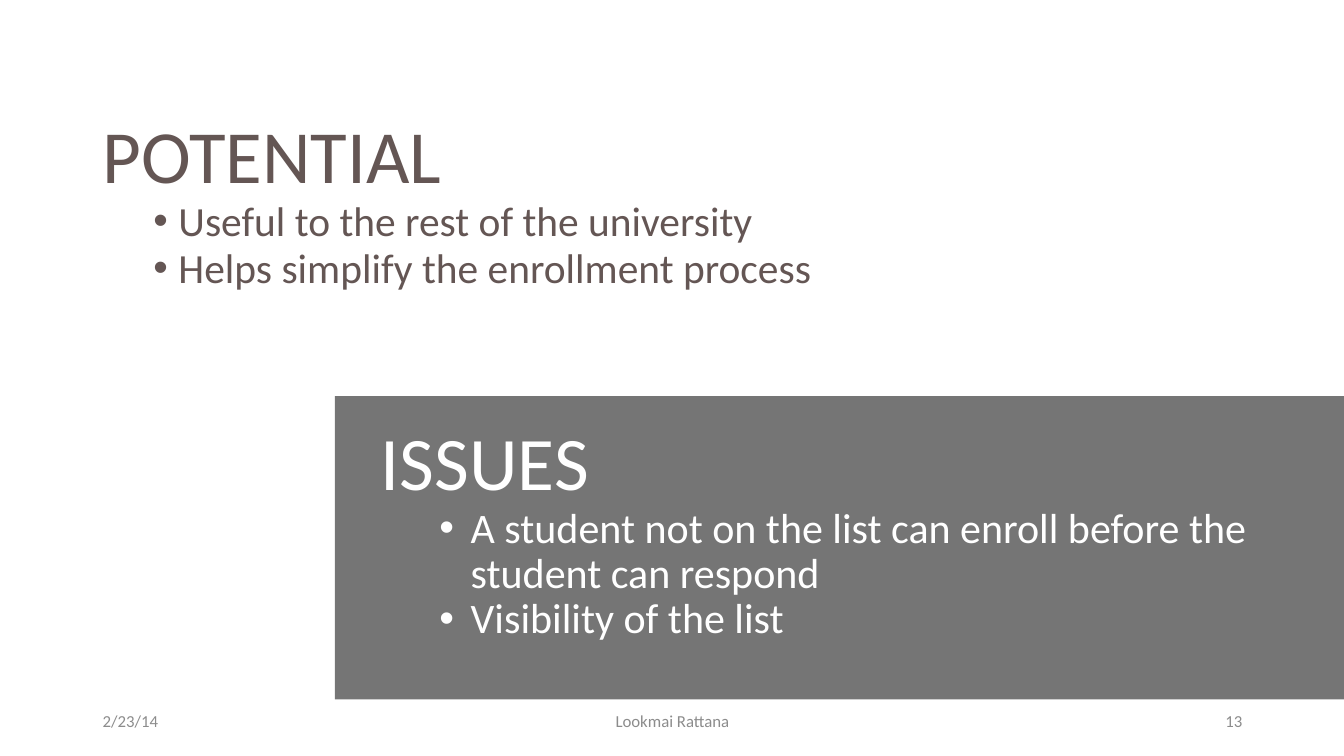
from dataclasses import dataclass

from lxml import etree
from pptx import Presentation
from pptx.dml.color import RGBColor
from pptx.enum.shapes import MSO_SHAPE
from pptx.enum.text import MSO_ANCHOR, MSO_AUTO_SIZE, PP_ALIGN
from pptx.oxml.ns import qn
from pptx.util import Inches, Pt

RECT = MSO_SHAPE.RECTANGLE
TOP, MIDDLE = MSO_ANCHOR.TOP, MSO_ANCHOR.MIDDLE
LEFT, CENTER, RIGHT = PP_ALIGN.LEFT, PP_ALIGN.CENTER, PP_ALIGN.RIGHT
NO_FIT = MSO_AUTO_SIZE.NONE
CONTENT_LAYOUT = 1


@dataclass(frozen=True)
class Theme:
    font: str = "Calibri"
    brown: str = "645654"
    white: str = "FFFFFF"
    black: str = "000000"
    grey: str = "8C8C8C"
    potential_head: float = 53.6
    potential_item: float = 29.6
    issues_head: float = 54
    issues_item: float = 30
    footer: float = 12


THEME = Theme()


def add_panel(s, box, color, opacity):
    """Add a borderless, partly transparent rectangle."""
    sp = s.shapes.add_shape(RECT, *map(Inches, box))
    sp.shadow.inherit = False
    sp.line.fill.background()
    sp.fill.solid()
    sp.fill.fore_color.rgb = RGBColor.from_string(color)
    clr = sp.fill._xPr.find(".//" + qn("a:srgbClr"))
    etree.SubElement(clr, qn("a:alpha"), val=str(opacity * 1000))


def write(p, text, *, size, color, align=LEFT, level=0, margin=0, indent=0,
          bullet=None, line=1.0, before=0):
    """Fill one paragraph with formatted text."""
    pPr = p._p.get_or_add_pPr()
    pPr.set("marL", str(Inches(margin)))
    pPr.set("indent", str(Inches(indent)))
    if bullet:
        font = etree.SubElement(pPr, qn("a:buFont"))
        font.set("typeface", "Arial")
        etree.SubElement(pPr, qn("a:buChar"), char=bullet)
    else:
        etree.SubElement(pPr, qn("a:buNone"))
    p.level = level
    p.alignment = align
    p.line_spacing = line
    p.space_before = Pt(before)
    p.space_after = Pt(0)
    r = p.add_run()
    r.text = text
    r.font.name = THEME.font
    r.font.size = Pt(size)
    r.font.color.rgb = RGBColor.from_string(color)


def set_frame(sp, anchor=TOP):
    tf = sp.text_frame
    tf.word_wrap = True
    tf.auto_size = NO_FIT
    tf.vertical_anchor = anchor
    return tf


def add_text_box(s, box):
    return s.shapes.add_textbox(*map(Inches, box))


def write_section(sp, head, items, *, head_size, item_size, color, line,
                  head_margin=0, margin, indent, before=0):
    """Write a heading followed by bulleted items."""
    tf = set_frame(sp)
    write(tf.paragraphs[0], head, size=head_size, color=color, line=line,
          margin=head_margin)
    for item in items:
        write(tf.add_paragraph(), item, size=item_size, color=color,
              level=1, margin=margin, indent=indent, bullet="•",
              line=line, before=before)


def add_footer(s, text, left, width, align):
    tf = set_frame(add_text_box(s, (left, 6.95, width, 0.4)), MIDDLE)
    write(tf.paragraphs[0], text, size=THEME.footer, color=THEME.grey,
          align=align)


def main():
    prs = Presentation()
    prs.slide_width, prs.slide_height = Inches(13.33), Inches(7.5)
    s = prs.slides.add_slide(prs.slide_layouts[CONTENT_LAYOUT])

    # The heading belongs to the body text, so the title is not needed
    title = s.shapes.title.element
    title.getparent().remove(title)
    body = s.placeholders[1]

    # Background panels
    add_panel(s, (3.32, 3.93, 10.02, 3.01), THEME.black, 54)
    add_panel(s, (0, 0.92, 10.02, 2.36), THEME.white, 63)

    # Potential, in front of the panels
    s.shapes.element.append(body.element)
    body.left, body.top = Inches(0.92), Inches(1.2)
    body.width, body.height = Inches(11.5), Inches(1.86)
    write_section(body, "POTENTIAL",
                  ["Useful to the rest of the university",
                   "Helps simplify the enrollment process"],
                  head_size=THEME.potential_head,
                  item_size=THEME.potential_item, color=THEME.brown,
                  line=0.8, margin=0.75, indent=-0.25, before=5)

    # Issues
    write_section(add_text_box(s, (3.56, 4.17, 9.25, 2.93)), "ISSUES",
                  ["A student not on the list can enroll before the "
                   "student can respond",
                   "Visibility of the list"],
                  head_size=THEME.issues_head, item_size=THEME.issues_item,
                  color=THEME.white, line=0.9, head_margin=0.12,
                  margin=1.01, indent=-0.31)

    # Footer
    add_footer(s, "2/23/14", 0.92, 3, LEFT)
    add_footer(s, "Lookmai Rattana", 4.42, 4.5, CENTER)
    add_footer(s, "13", 9.42, 3, RIGHT)

    prs.save("out.pptx")


if __name__ == "__main__":
    main()
